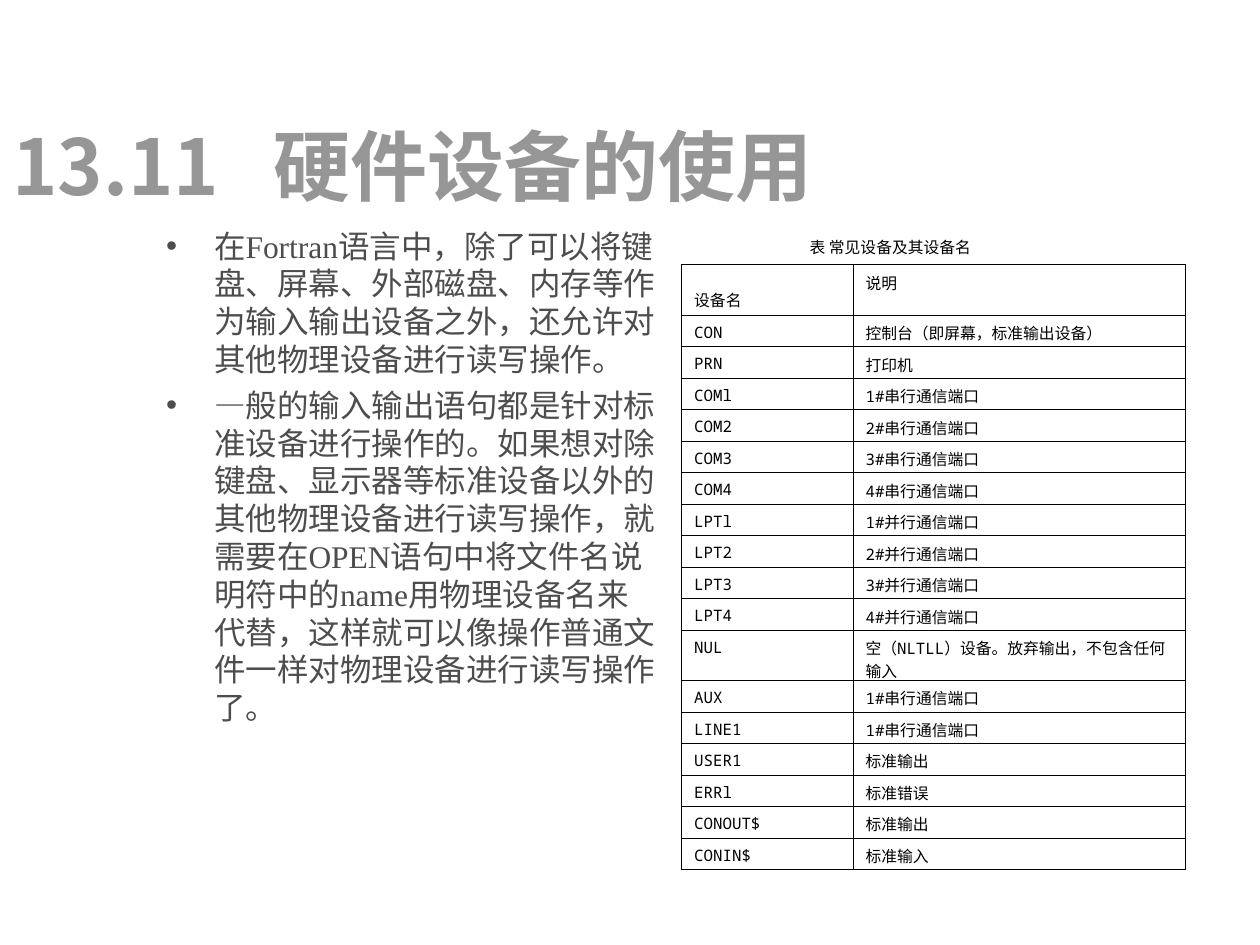
from itertools import groupby

from lxml import etree
from pptx import Presentation
from pptx.dml.color import RGBColor
from pptx.enum import text as txt
from pptx.oxml import ns
from pptx.util import Inches, Pt

BLACK = RGBColor(0x00, 0x00, 0x00)
GREY = RGBColor(0x96, 0x96, 0x96)
DARK = RGBColor(0x4D, 0x4D, 0x4D)
SANS = "Noto Sans CJK SC"
SERIF = "Times New Roman"
MONO = "Noto Sans Mono"

POINTS = [
    "在Fortran语言中，除了可以将键盘、屏幕、外部磁盘、内存等作为输入输出设备之外，还允许对其他物理设备进行读写操作。",
    "—般的输入输出语句都是针对标准设备进行操作的。如果想对除键盘、显示器等标准设备以外的其他物理设备进行读写操作，"
    "就需要在OPEN语句中将文件名说明符中的name用物理设备名来代替，这样就可以像操作普通文件一样对物理设备进行读写操作了。",
]
ROWS = [
    ("设备名", "说明"),
    ("CON", "控制台（即屏幕，标准输出设备）"),
    ("PRN", "打印机"),
    ("COMl", "1#串行通信端口"),
    ("COM2", "2#串行通信端口"),
    ("COM3", "3#串行通信端口"),
    ("COM4", "4#串行通信端口"),
    ("LPTl", "1#并行通信端口"),
    ("LPT2", "2#并行通信端口"),
    ("LPT3", "3#并行通信端口"),
    ("LPT4", "4#并行通信端口"),
    ("NUL", "空（NLTLL）设备。放弃输出，不包含任何输入"),
    ("AUX", "1#串行通信端口"),
    ("LINE1", "1#串行通信端口"),
    ("USER1", "标准输出"),
    ("ERRl", "标准错误"),
    ("CONOUT$", "标准输出"),
    ("CONIN$", "标准输入"),
]
TALL = ("设备名", "NUL")


def add(node, tag, **attrs):
    """Append a drawing element and return it."""
    return etree.SubElement(node, ns.qn(tag), attrs)


def style(run, face, size, color, bold=False):
    """Format one run, with a shared East Asian face."""
    font = run.font
    font.size, font.bold, font.name = Pt(size), bold, face
    font.color.rgb = color
    add(run.font._element, "a:ea", typeface=SANS)


def frame(slide, box, wrap=True):
    """Add a text box and return its frame."""
    area = slide.shapes.add_textbox(*map(Inches, box)).text_frame
    area.word_wrap = wrap
    return area


def title(slide, box):
    """Place the heading, its number set off by a tab."""
    area = frame(slide, box)
    area.vertical_anchor = txt.MSO_ANCHOR.MIDDLE
    para = area.paragraphs[0]
    para.text = "13.11\t硬件设备的使用"
    tabs = add(para._p.get_or_add_pPr(), "a:tabLst")
    add(tabs, "a:tab", pos=str(Inches(2.07)), algn="l")
    style(para.runs[0], SANS, 44, GREY, True)


def body(slide, box):
    """Place the bulleted points."""
    area = frame(slide, box)
    area.text = "\n".join(POINTS)
    for i, para in enumerate(area.paragraphs):
        para.space_before = Pt(4.5 if i else 0)
        props = para._p.get_or_add_pPr()
        props.set("marL", str(Inches(0.38)))
        props.set("indent", str(-Inches(0.38)))
        tint = add(props, "a:buClr")
        add(tint, "a:srgbClr", val=str(DARK))
        add(props, "a:buFont", typeface="Arial")
        add(props, "a:buChar", char="•")
        style(para.runs[0], SERIF, 18, DARK)


def caption(slide, box):
    """Place the line above the table."""
    area = frame(slide, box, False)
    area.vertical_anchor = txt.MSO_ANCHOR.MIDDLE
    area.text = "表 常见设备及其设备名"
    para = area.paragraphs[0]
    para.alignment = txt.PP_ALIGN.CENTER
    style(para.runs[0], "Arial", 9, BLACK)


def border(cell):
    """Draw thin black lines on all four sides of a cell."""
    props = cell._tc.get_or_add_tcPr()
    for i, side in enumerate(("lnL", "lnR", "lnT", "lnB")):
        line = etree.Element(ns.qn("a:" + side), w=str(Pt(0.45)))
        add(add(line, "a:solidFill"), "a:srgbClr", val=str(BLACK))
        props.insert(i, line)


def fill(cell, words):
    """Write a cell, with its ASCII parts in the mono face."""
    cell.fill.background()
    cell.margin_top, cell.margin_bottom = Inches(0.05), 0
    para = cell.text_frame.paragraphs[0]
    for plain, part in groupby(words, str.isascii):
        run = para.add_run()
        run.text = "".join(part)
        style(run, MONO if plain else SERIF, 9, BLACK)
    border(cell)


def table(slide, box):
    """Place the table of devices."""
    grid = slide.shapes.add_table(len(ROWS), 2, *map(Inches, box)).table
    grid.first_row = grid.horz_banding = False
    for col, wide in zip(grid.columns, (1.36, 2.64)):
        col.width = Inches(wide)
    for r, row in enumerate(ROWS):
        grid.rows[r].height = Inches(0.4 if row[0] in TALL else 0.25)
        for c, words in enumerate(row):
            fill(grid.cell(r, c), words)
    head = grid.cell(0, 0)
    head.vertical_anchor = txt.MSO_ANCHOR.BOTTOM
    head.margin_bottom = Inches(0.03)


def main():
    """Build the slide and save it."""
    deck = Presentation()
    deck.slide_width, deck.slide_height = Inches(10), Inches(7.5)
    slide = deck.slides.add_slide(deck.slide_layouts[6])
    title(slide, (0, 0.68, 10, 1.25))
    body(slide, (1.22, 1.75, 4.09, 5.07))
    caption(slide, (6.31, 1.84, 1.51, 0.25))
    table(slide, (5.41, 2.1, 4, 4.8))
    deck.save("out.pptx")


if __name__ == "__main__":
    main()
